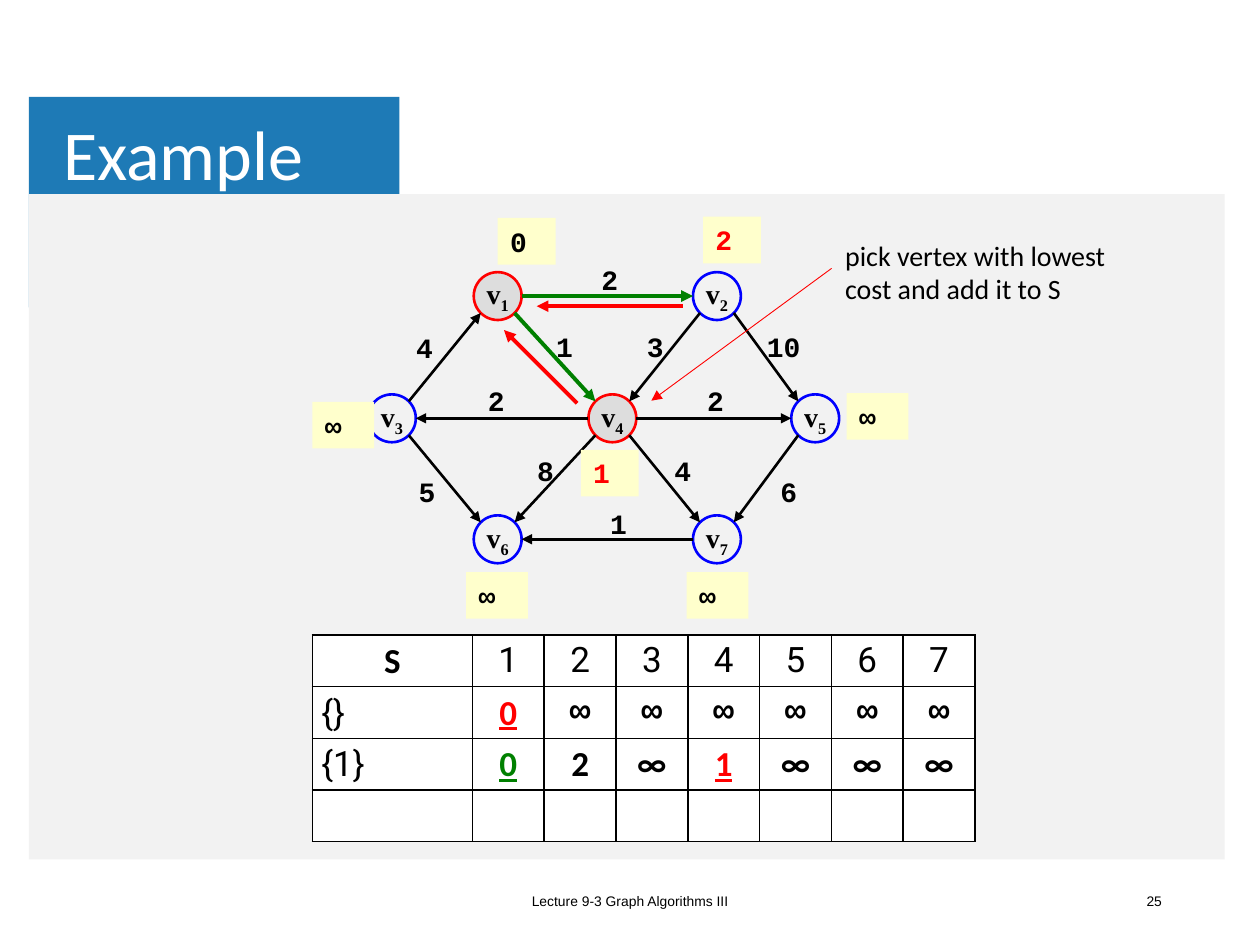
from dataclasses import dataclass
from math import copysign, sqrt

from lxml.etree import SubElement
from pptx import Presentation
from pptx.dml.color import RGBColor
from pptx.enum.shapes import MSO_CONNECTOR as Connector, MSO_SHAPE as Preset
from pptx.enum.text import MSO_ANCHOR as Anchor, MSO_AUTO_SIZE as AutoSize, PP_ALIGN as Align
from pptx.oxml.ns import qn
from pptx.util import Inches, Pt


@dataclass(frozen=True)
class Theme:
    black: str = "000000"
    white: str = "FFFFFF"
    red: str = "FF0000"
    green: str = "008000"
    blue: str = "0000FF"
    banner: str = "1E7AB6"
    panel: str = "F2F2F2"
    visited: str = "DDDDDD"
    cost: str = "FFFFCC"
    body: str = "Calibri"
    mono: str = "Courier New"
    serif: str = "Times New Roman"
    digits: str = "Roboto"
    plain: str = "Arial"
    title_size: float = 40
    table_size: float = 20
    label_size: float = 16
    footer_size: float = 7.9


class SlideBuilder:
    def __init__(self, slide, theme):
        self.slide = slide
        self.shapes = slide.shapes
        self.theme = theme

    def style(self, paragraph, size, name, color=None, bold=False, align=Align.LEFT, underline=False):
        paragraph.alignment = align
        font = paragraph.font
        font.size, font.name, font.bold, font.underline = Pt(size), name, bold, underline
        font.color.rgb = RGBColor.from_string(color or self.theme.black)

    def fill(self, target, color):
        target.fill.solid()
        target.fill.fore_color.rgb = RGBColor.from_string(color)

    def panel(self, left, top, width, height, color):
        shape = self.shapes.add_shape(Preset.RECTANGLE, *map(Inches, (left, top, width, height)))
        shape.shadow.inherit = False
        shape.line.fill.background()
        self.fill(shape, color)

    def title(self, text):
        title = self.shapes.title
        self.shapes._spTree.append(title._element)
        title.left, title.top, title.width, title.height = map(Inches, (0.43, 0.76, 8.03, 0.98))
        frame = title.text_frame
        frame.text = text
        frame.auto_size = AutoSize.NONE
        frame.vertical_anchor = Anchor.MIDDLE
        frame.margin_left = frame.margin_right = Inches(0.07)
        frame.margin_top = frame.margin_bottom = Inches(0.04)
        paragraph = frame.paragraphs[0]
        paragraph.line_spacing = 0.9
        self.style(paragraph, self.theme.title_size, self.theme.body, self.theme.white)

    def text(self, text, left, top, width, height, size, name, anchor=Anchor.MIDDLE, fill=None, **style):
        shape = self.shapes.add_textbox(*map(Inches, (left, top, width, height)))
        if fill:
            self.fill(shape, fill)
        frame = shape.text_frame
        frame.word_wrap = True
        frame.vertical_anchor = anchor
        frame.text = text
        self.style(frame.paragraphs[0], size, name, **style)

    def vertex(self, number, center, radius, visited):
        x, y = center
        box = (x - radius, y - radius, 2 * radius, 2 * radius)
        shape = self.shapes.add_shape(Preset.OVAL, *map(Inches, box))
        shape.shadow.inherit = False
        shape.line.width = Pt(1.5)
        shape.line.color.rgb = RGBColor.from_string(self.theme.red if visited else self.theme.blue)
        if visited:
            self.fill(shape, self.theme.visited)
        else:
            shape.fill.background()
        frame = shape.text_frame
        frame.word_wrap = False
        frame.vertical_anchor = Anchor.MIDDLE
        paragraph = frame.paragraphs[0]
        self.style(paragraph, self.theme.label_size, self.theme.serif, bold=True, align=Align.CENTER)
        paragraph.add_run().text = "v"
        subscript = paragraph.add_run()
        subscript.text = str(number)
        subscript._r.get_or_add_rPr().set("baseline", "-25000")

    def arrow(self, start, end, color, width):
        connector = self.shapes.add_connector(Connector.STRAIGHT, *map(Inches, (*start, *end)))
        connector.line.width = Pt(width)
        connector.line.color.rgb = RGBColor.from_string(color)
        SubElement(connector.line._get_or_add_ln(), qn("a:tailEnd"), type="triangle")
        SubElement(connector._element.spPr, qn("a:effectLst"))

    def weight(self, text, center):
        width, height = 0.28 + 0.18 * len(text), 0.37
        self.text(text, center[0] - width / 2, center[1] - height / 2, width, height,
                  self.theme.label_size, self.theme.mono, bold=True, align=Align.CENTER)

    def cost(self, text, left, top, color):
        self.text(text, left, top, 0.49 if text == "∞" else 0.46, 0.37, self.theme.label_size,
                  self.theme.mono, anchor=Anchor.TOP, fill=self.theme.cost, color=color, bold=True)

    def border(self, cell):
        properties = cell._tc.get_or_add_tcPr()
        for index, side in enumerate(("lnL", "lnR", "lnT", "lnB")):
            line = properties.makeelement(qn(f"a:{side}"), {"w": str(Pt(1))})
            solid = SubElement(line, qn("a:solidFill"))
            SubElement(solid, qn("a:srgbClr"), val=self.theme.black)
            properties.insert(index, line)

    def table(self, rows, left, top, column_widths, row_height):
        size = (sum(column_widths), row_height * len(rows))
        frame = self.shapes.add_table(len(rows), len(column_widths), *map(Inches, (left, top, *size)))
        table = frame.table
        table.first_row = table.horz_banding = False
        for column, width in zip(table.columns, column_widths):
            column.width = Inches(width)
        for row_index, row in enumerate(rows):
            table.rows[row_index].height = Inches(row_height)
            for column_index, (text, name, bold, color) in enumerate(row):
                cell = table.cell(row_index, column_index)
                cell.text = text
                cell.margin_left = cell.margin_right = Inches(0.07)
                cell.margin_top, cell.margin_bottom = Inches(0.04), Inches(0.03)
                cell.vertical_anchor = Anchor.MIDDLE if row_index else Anchor.TOP
                self.fill(cell, self.theme.white)
                self.border(cell)
                align = Align.LEFT if row_index and not column_index else Align.CENTER
                self.style(cell.text_frame.paragraphs[0], self.theme.table_size, name, color,
                           bold, align, underline=color != self.theme.black)


def edge_ends(start, end, radius):
    dx, dy = end[0] - start[0], end[1] - start[1]
    reach = radius / sqrt(2) if dy else radius
    shift_x = copysign(reach, dx)
    shift_y = copysign(reach, dy) if dy else 0
    return (start[0] + shift_x, start[1] + shift_y), (end[0] - shift_x, end[1] - shift_y)


def main():
    theme = Theme()
    presentation = Presentation()
    presentation.slide_width, presentation.slide_height = Inches(10), Inches(7.5)
    builder = SlideBuilder(presentation.slides.add_slide(presentation.slide_layouts[5]), theme)

    builder.panel(0.23, 0.77, 2.94, 1.67, theme.banner)
    builder.panel(0.23, 1.54, 9.49, 5.28, theme.panel)
    builder.title("Example")
    for text, left, width, align in (("Lecture 9-3 Graph Algorithms III", 3.31, 3.38, Align.CENTER),
                                     ("25", 7.07, 2.25, Align.RIGHT)):
        builder.text(text, left, 6.95, width, 0.4, theme.footer_size, theme.plain, align=align)

    radius = 0.19
    upper, middle, lower = 2.35, 3.32, 4.28
    vertices = {1: (3.95, upper), 2: (5.69, upper), 3: (3.11, middle), 4: (4.86, middle),
                5: (6.47, middle), 6: (3.95, lower), 7: (5.69, lower)}
    edges = [(7, 6, "1", (4.91, 4.15)), (4, 3, "2", (3.94, 3.18)), (1, 2, "2", (4.84, 2.22)),
             (4, 5, "2", (5.68, 3.18)), (2, 5, "10", (6.22, 2.75)), (5, 7, "6", (6.26, 3.9)),
             (1, 4, "1", (4.48, 2.75)), (2, 4, "3", (5.2, 2.75)), (3, 1, "4", (3.37, 2.76)),
             (3, 6, "5", (3.39, 3.9)), (4, 7, "4", (5.42, 3.73)), (4, 6, "8", (4.33, 3.73))]
    for number, center in vertices.items():
        builder.vertex(number, center, radius, visited=number in (1, 4))
    for source, target, weight, center in edges:
        color, width = (theme.green, 2.25) if source == 1 else (theme.black, 1.5)
        builder.arrow(*edge_ends(vertices[source], vertices[target], radius), color, width)
        builder.weight(weight, center)

    for text, left, top, color in (
            ("0", 3.95, 1.73, theme.black), ("2", 5.58, 1.72, theme.red),
            ("∞", 2.48, 3.19, theme.black), ("∞", 6.72, 3.12, theme.black),
            ("1", 4.61, 3.57, theme.red), ("∞", 3.7, 4.54, theme.black),
            ("∞", 5.45, 4.54, theme.black)):
        builder.cost(text, left, top, color)
    builder.text("pick vertex with lowest cost and add it to S", 6.61, 1.84, 2.34, 0.91,
                 theme.label_size, theme.body, anchor=Anchor.TOP)
    builder.arrow((4.58, 3.2), (4, 2.62), theme.red, 2.25)
    builder.arrow((5.42, 2.43), (4.26, 2.43), theme.red, 2.25)
    builder.arrow((6.6, 2.13), (5.17, 3.18), theme.red, 0.5)

    def digit(text):
        return text, theme.digits, False, theme.black

    def strong(text, color=theme.black, name=theme.body):
        return text, name, True, color

    rows = [
        [strong("S")] + [digit(str(number)) for number in vertices],
        [digit("{}"), strong("0", theme.red)] + [strong("∞", name=theme.mono)] * 6,
        [digit("{1}"), strong("0", theme.green), strong("2"), strong("∞"), strong("1", theme.red)]
        + [strong("∞")] * 3,
        [digit("")] * 8,
    ]
    builder.table(rows, 2.48, 5.04, [1.27] + [0.57] * 7, 0.41)
    presentation.save("out.pptx")


if __name__ == "__main__":
    main()
